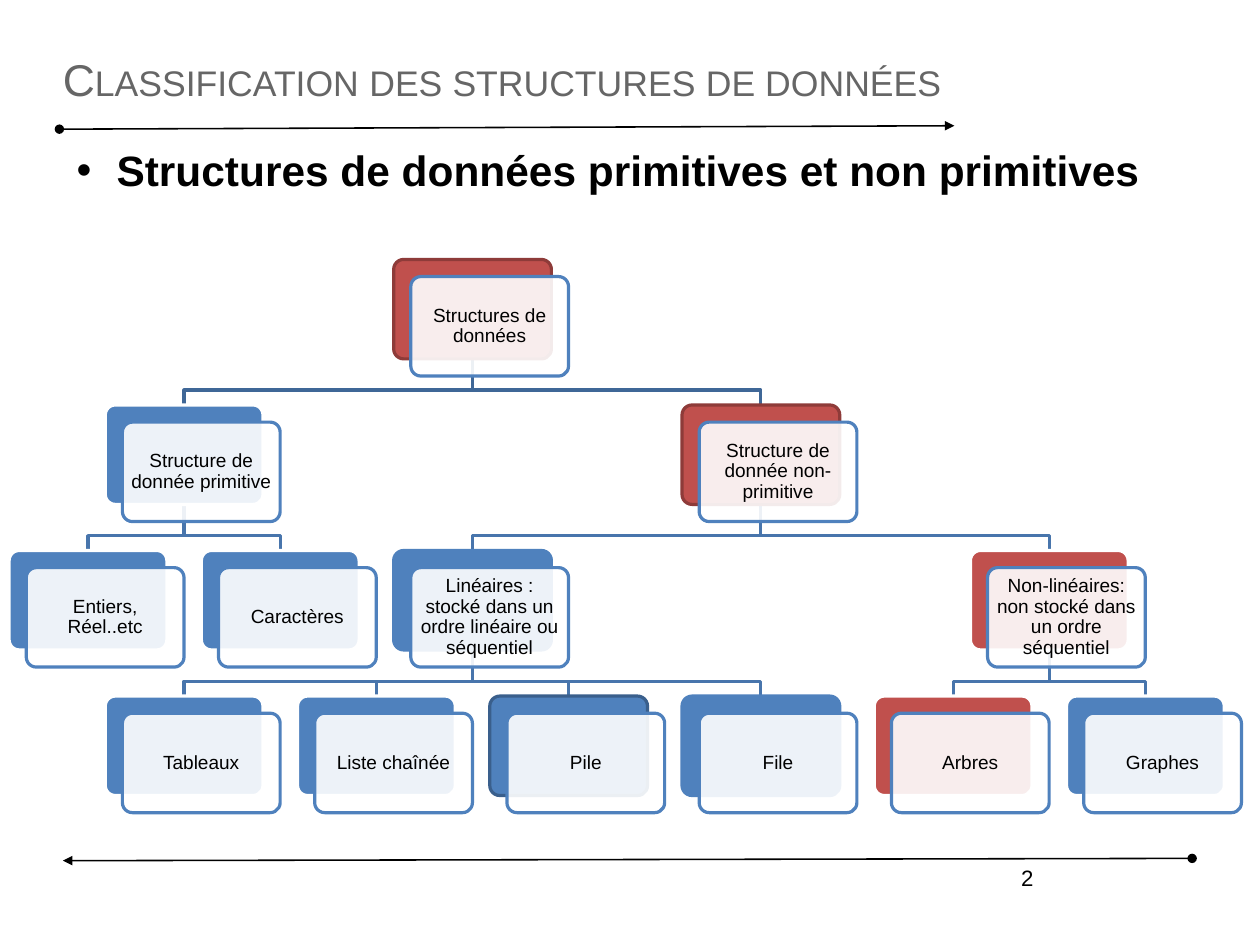
import pptx
import pptx.util
import pptx.dml.color
import pptx.enum.shapes
import pptx.enum.text
import pptx.oxml.ns
from dataclasses import dataclass
from lxml import etree

Inches = pptx.util.Inches
Pt = pptx.util.Pt
ALIGN = pptx.enum.text.PP_ALIGN
ANCHOR = pptx.enum.text.MSO_ANCHOR
SHAPES = pptx.enum.shapes.MSO_SHAPE


@dataclass(frozen=True)
class Theme:
    font: str = "Arial"
    black: str = "000000"
    white: str = "FFFFFF"
    grey: str = "666666"
    blue: str = "4F81BD"
    dark_blue: str = "3A5F8C"
    red: str = "C0504D"
    dark_red: str = "8E3B39"
    top_link: str = "3F6797"
    link: str = "4875AC"
    title_size: float = 28
    heading_size: float = 26.7
    number_size: float = 14
    card_size: float = 12
    rule_width: float = 1
    card_line: float = 2


THEME = Theme()

# The slide measures 28 by 21 centimetres
SLIDE_WIDTH, SLIDE_HEIGHT = 28 / 2.54, 21 / 2.54

# Tree grid: centre of column 0, top of row 0, and the steps between them
FIRST_CENTRE, FIRST_TOP = 0.77, 2.27
COLUMN_STEP = (9.18 - FIRST_CENTRE) / 10
ROW_STEP = (6.09 - FIRST_TOP) / 3
CARD_WIDTH, CARD_HEIGHT = 1.38, 0.87
FRONT_SHIFT = 0.15

# Key: (label, row, column, parent, back fill, back line)
NODES = {
    "root": ("Structures de données", 0, 4, None, THEME.red, THEME.dark_red),
    "primitive": ("Structure de donnée primitive", 1, 1, "root", THEME.blue, THEME.white),
    "entiers": ("Entiers, Réel..etc", 2, 0, "primitive", THEME.blue, THEME.white),
    "caracteres": ("Caractères", 2, 2, "primitive", THEME.blue, THEME.white),
    "non_primitive": ("Structure de donnée non-primitive", 1, 7, "root",
                      THEME.red, THEME.dark_red),
    "lineaires": ("Linéaires : stocké dans un ordre linéaire ou séquentiel", 2, 4,
                  "non_primitive", THEME.blue, THEME.blue),
    "tableaux": ("Tableaux", 3, 1, "lineaires", THEME.blue, THEME.white),
    "liste": ("Liste chaînée", 3, 3, "lineaires", THEME.blue, THEME.white),
    "pile": ("Pile", 3, 5, "lineaires", THEME.blue, THEME.dark_blue),
    "file": ("File", 3, 7, "lineaires", THEME.blue, THEME.blue),
    "non_lineaires": ("Non-linéaires: non stocké dans un ordre séquentiel", 2, 10,
                      "non_primitive", THEME.red, THEME.white),
    "arbres": ("Arbres", 3, 9, "non_lineaires", THEME.red, THEME.white),
    "graphes": ("Graphes", 3, 11, "non_lineaires", THEME.blue, THEME.white),
}


def rgb(colour):
    return pptx.dml.color.RGBColor.from_string(colour)


def add_xml(parent, tag, **attributes):
    return etree.SubElement(parent, pptx.oxml.ns.qn(tag), attributes)


def place(shape, left, top, width, height):
    shape.left, shape.top = Inches(left), Inches(top)
    shape.width, shape.height = Inches(width), Inches(height)


def write(shape, text, size, colour, align, anchor, inset_x=0, inset_y=0):
    frame = shape.text_frame
    frame.text = text
    frame.word_wrap = True
    frame.auto_size = pptx.enum.text.MSO_AUTO_SIZE.NONE
    frame.vertical_anchor = anchor
    frame.margin_left = frame.margin_right = Inches(inset_x)
    frame.margin_top = frame.margin_bottom = Inches(inset_y)
    paragraph = frame.paragraphs[0]
    paragraph.alignment = align
    paragraph.font.name = THEME.font
    paragraph.font.size = Pt(size)
    paragraph.font.color.rgb = rgb(colour)
    return paragraph


def add_title(slide, text):
    title = slide.shapes.title
    place(title, 0.55, 0.33, 9.92, 0.72)
    paragraph = write(title, text, THEME.title_size, THEME.grey, ALIGN.LEFT, ANCHOR.MIDDLE)
    paragraph.runs[0].font._element.set("cap", "small")


def add_heading(slide, text):
    heading = slide.placeholders[1]
    place(heading, 0.55, 1.26, 9.91, 2.19)
    heading.fill.solid()
    heading.fill.fore_color.rgb = rgb(THEME.white)
    paragraph = write(heading, text, THEME.heading_size, THEME.black, ALIGN.LEFT, ANCHOR.TOP)
    paragraph.font.bold = True
    paragraph.space_before = Pt(9.4)
    # Hanging bullet
    properties = paragraph._p.get_or_add_pPr()
    properties.set("marL", str(Inches(0.47)))
    properties.set("indent", str(Inches(-0.35)))
    bullet = etree.Element(pptx.oxml.ns.qn("a:buChar"), char="•")
    properties.find(pptx.oxml.ns.qn("a:defRPr")).addprevious(bullet)


def add_rule(slide, start, end):
    rule = slide.shapes.add_connector(
        pptx.enum.shapes.MSO_CONNECTOR.STRAIGHT, *map(Inches, start + end))
    rule.line.color.rgb = rgb(THEME.black)
    rule.line.width = Pt(THEME.rule_width)
    outline = rule.line._get_or_add_ln()
    add_xml(outline, "a:headEnd", type="oval")
    add_xml(outline, "a:tailEnd", type="triangle")
    add_xml(rule._element.spPr, "a:effectLst")


def add_page_number(slide, number):
    box = slide.shapes.add_textbox(Inches(6.57), Inches(7.51), Inches(2.57), Inches(0.57))
    write(box, number, THEME.number_size, THEME.black, ALIGN.RIGHT, ANCHOR.TOP, 0.1, 0.05)


def grid_point(row, column):
    return FIRST_CENTRE + column * COLUMN_STEP, FIRST_TOP + row * ROW_STEP


def add_link(slide, parent, child):
    x1, parent_top = grid_point(*parent)
    x2, y2 = grid_point(*child)
    y1, bend = parent_top + CARD_HEIGHT, y2 - 0.13
    start, *corners = [(Inches(x), Inches(y))
                       for x, y in ((x1, y1), (x1, bend), (x2, bend), (x2, y2))]
    builder = slide.shapes.build_freeform(*start)
    builder.add_line_segments(corners, close=False)
    link = builder.convert_to_shape()
    link.shadow.inherit = False
    link.fill.background()
    link.line.color.rgb = rgb(THEME.top_link if parent[0] == 0 else THEME.link)
    link.line.width = Pt(THEME.card_line)


def add_card(slide, left, top, fill, line):
    card = slide.shapes.add_shape(
        SHAPES.ROUNDED_RECTANGLE, Inches(left), Inches(top),
        Inches(CARD_WIDTH), Inches(CARD_HEIGHT))
    card.adjustments[0] = 0.1
    card.shadow.inherit = False
    card.fill.solid()
    card.fill.fore_color.rgb = rgb(fill)
    card.line.color.rgb = rgb(line)
    card.line.width = Pt(THEME.card_line)
    return card


def add_node(slide, label, row, column, fill, line):
    centre, top = grid_point(row, column)
    left = centre - CARD_WIDTH / 2
    add_card(slide, left, top, fill, line)
    front = add_card(slide, left + FRONT_SHIFT, top + FRONT_SHIFT, THEME.white, THEME.blue)
    # The back card shows faintly through the front one
    colour = front._element.spPr.find(
        pptx.oxml.ns.qn("a:solidFill") + "/" + pptx.oxml.ns.qn("a:srgbClr"))
    add_xml(colour, "a:alpha", val="90000")
    paragraph = write(front, label, THEME.card_size, THEME.black,
                      ALIGN.CENTER, ANCHOR.MIDDLE, 0.04, 0.05)
    paragraph.line_spacing = 0.9


def add_tree(slide):
    for _, row, column, parent, _, _ in NODES.values():
        if parent:
            add_link(slide, NODES[parent][1:3], (row, column))
    for label, row, column, _, fill, line in NODES.values():
        add_node(slide, label, row, column, fill, line)


def main():
    presentation = pptx.Presentation()
    presentation.slide_width = Inches(SLIDE_WIDTH)
    presentation.slide_height = Inches(SLIDE_HEIGHT)
    slide = presentation.slides.add_slide(presentation.slide_layouts[1])

    # Heading and frame
    add_title(slide, "Classification des structures de données")
    add_heading(slide, "Structures de données primitives et non primitives")
    add_rule(slide, (0.52, 1.13), (8.35, 1.1))
    add_rule(slide, (10.43, 7.51), (0.55, 7.53))
    add_page_number(slide, "2")

    # Classification tree
    add_tree(slide)
    presentation.save("out.pptx")


if __name__ == "__main__":
    main()
